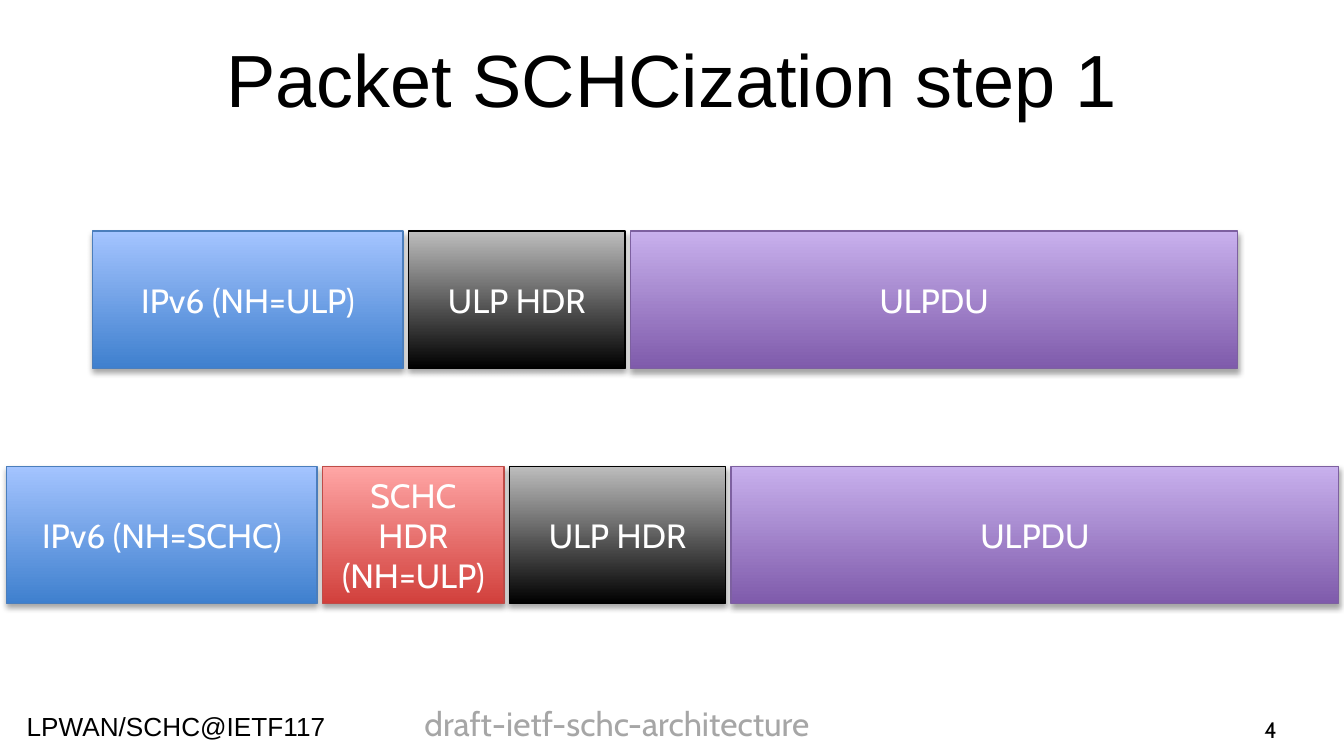
from lxml.etree import SubElement
from pptx import Presentation
from pptx.dml.color import RGBColor
from pptx.enum.shapes import MSO_SHAPE
from pptx.enum.text import MSO_ANCHOR, MSO_AUTO_SIZE, PP_ALIGN
from pptx.oxml.ns import qn
from pptx.util import Inches, Pt

BLACK = RGBColor(0x00, 0x00, 0x00)
WHITE = RGBColor(0xFF, 0xFF, 0xFF)
GREY = RGBColor(0xA6, 0xA6, 0xA6)
BLUE = (RGBColor(0x3F, 0x80, 0xCE), RGBColor(0xA4, 0xC4, 0xFF), RGBColor(0x4B, 0x7E, 0xBC))
DARK = (BLACK, RGBColor(0xBD, 0xBD, 0xBD), BLACK)
PURPLE = (RGBColor(0x7F, 0x5B, 0xAB), RGBColor(0xC8, 0xB0, 0xED), RGBColor(0x7D, 0x60, 0xA0))
RED = (RGBColor(0xD1, 0x40, 0x3C), RGBColor(0xFF, 0xA6, 0xA5), RGBColor(0xBF, 0x4C, 0x48))

FIELD_HEIGHT = 1.02
FIELD_GAP = 0.04
ULP_FIELDS = [("ULP HDR", 1.61, DARK), ("ULPDU", 4.52, PURPLE)]
PLAIN_PACKET = [("IPv6 (NH=ULP)", 2.31, BLUE), *ULP_FIELDS]
SCHC_PACKET = [
    ("IPv6 (NH=SCHC)", 2.31, BLUE),
    ("SCHC HDR\n(NH=ULP)", 1.35, RED),
    *ULP_FIELDS,
]


def write(frame, text, size, color, font="Cabin", align=PP_ALIGN.LEFT):
    frame.text = text
    for para in frame.paragraphs:
        para.alignment = align
        para.font.name = font
        para.font.size = Pt(size)
        para.font.color.rgb = color


def place(shape, left, top, width, height):
    shape.left, shape.top = Inches(left), Inches(top)
    shape.width, shape.height = Inches(width), Inches(height)


def add_title(page, text):
    title = page.shapes.title
    place(title, 0.5, 0.23, 9, 0.7)
    frame = title.text_frame
    frame.auto_size = MSO_AUTO_SIZE.NONE
    frame.vertical_anchor = MSO_ANCHOR.MIDDLE
    write(frame, text, 39.6, BLACK, "Arial", PP_ALIGN.CENTER)


def add_label(page, text, left, top, width, height, wrap=True, anchor=MSO_ANCHOR.TOP, **style):
    box = page.shapes.add_textbox(Inches(left), Inches(top), Inches(width), Inches(height))
    frame = box.text_frame
    frame.word_wrap = wrap
    frame.vertical_anchor = anchor
    write(frame, text, **style)


def add_shadow(shape):
    shape.shadow.inherit = False
    effects = shape.element.spPr.find(qn("a:effectLst"))
    shadow = SubElement(effects, qn("a:outerShdw"), blurRad=str(Pt(3.1)), dist=str(Pt(1.8)),
                        dir="5400000", rotWithShape="0")
    color = SubElement(shadow, qn("a:srgbClr"), val=str(BLACK))
    SubElement(color, qn("a:alpha"), val="35000")


def add_field(page, text, left, top, width, colors):
    field = page.shapes.add_shape(MSO_SHAPE.RECTANGLE, Inches(left), Inches(top),
                                  Inches(width), Inches(FIELD_HEIGHT))
    bottom, upper, outline = colors
    field.fill.gradient()
    field.fill.gradient_angle = 90
    for stop, color in zip(field.fill.gradient_stops, (bottom, upper)):
        stop.color.rgb = color
    field.line.color.rgb = outline
    field.line.width = Pt(0.75)
    add_shadow(field)
    field.text_frame.vertical_anchor = MSO_ANCHOR.MIDDLE
    write(field.text_frame, text, 18, WHITE, align=PP_ALIGN.CENTER)


def add_packet(page, left, top, fields):
    for text, width, colors in fields:
        add_field(page, text, left, top, width, colors)
        left += width + FIELD_GAP


def main():
    deck = Presentation()
    deck.slide_width = Inches(10)
    deck.slide_height = deck.slide_width * 9 // 16
    page = deck.slides.add_slide(deck.slide_layouts[5])
    add_title(page, "Packet SCHCization step 1")
    add_packet(page, 0.69, 1.72, PLAIN_PACKET)
    add_packet(page, 0.05, 3.47, SCHC_PACKET)
    add_label(page, "LPWAN/SCHC@IETF117", 0.1, 5.24, 2.44, 0.34, wrap=False,
              size=14, color=BLACK, font="Arial")
    add_label(page, "draft-ietf-schc-architecture", 3.06, 5.18, 4.46, 0.4, size=18, color=GREY)
    add_label(page, "4", 9.06, 5.28, 0.54, 0.3, anchor=MSO_ANCHOR.MIDDLE,
              size=12, color=BLACK, align=PP_ALIGN.RIGHT)
    deck.save("out.pptx")


if __name__ == "__main__":
    main()
